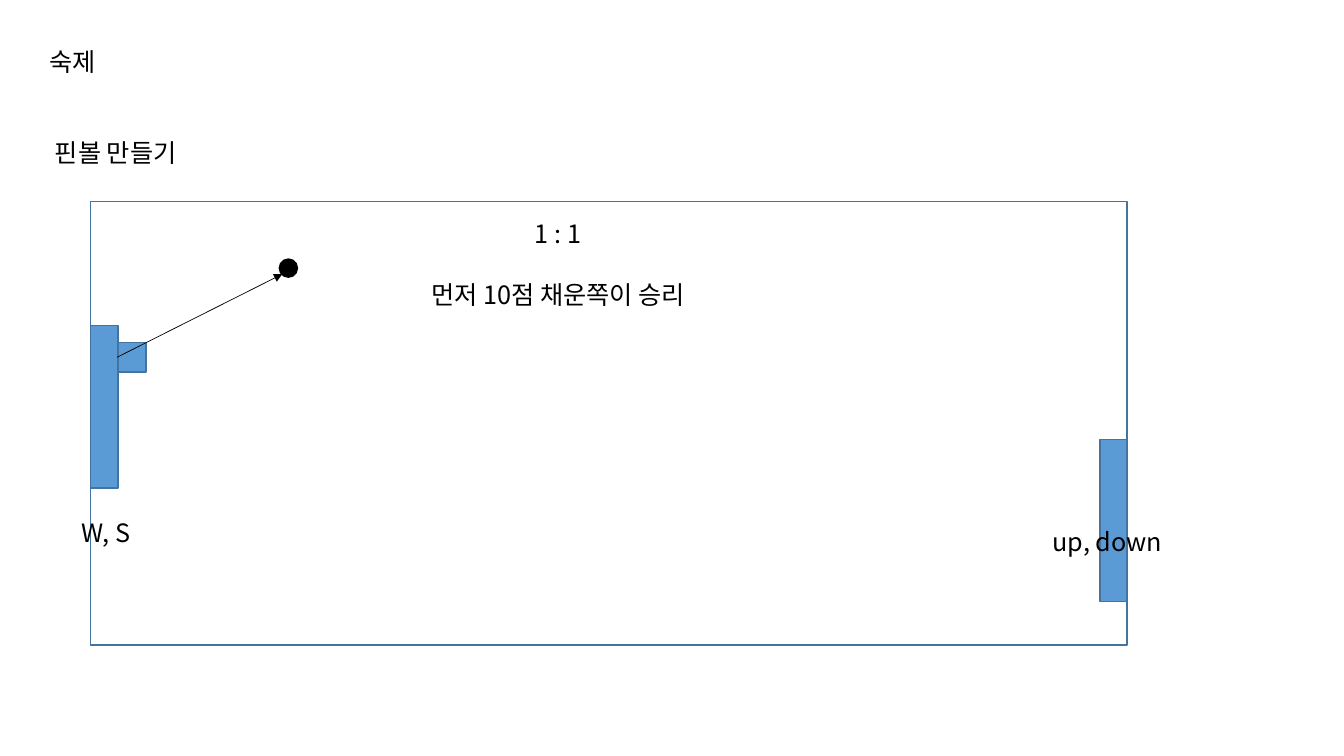
from dataclasses import dataclass

from lxml.etree import SubElement
from pptx import Presentation
from pptx.dml.color import RGBColor
from pptx.enum.shapes import MSO_CONNECTOR, MSO_SHAPE
from pptx.enum.text import MSO_AUTO_SIZE, PP_ALIGN
from pptx.oxml.ns import qn
from pptx.util import Inches, Pt


@dataclass(frozen=True)
class Theme:
    font: str = "Noto Sans CJK KR"
    text_size: float = 18
    line_height: float = 21.6
    ink: RGBColor = RGBColor(0x00, 0x00, 0x00)
    paddle: RGBColor = RGBColor(0x5B, 0x9B, 0xD5)
    outline: RGBColor = RGBColor(0x43, 0x73, 0x9E)
    outline_width: float = 1
    arrow_width: float = 0.5


THEME = Theme()
GRID_CELL = Inches(1)
COLUMNS, ROWS = 13.33, 7.5

FIELD_LEFT, FIELD_TOP, FIELD_WIDTH, FIELD_HEIGHT = 0.9, 2, 10.28, 4.4
FIELD_RIGHT = FIELD_LEFT + FIELD_WIDTH
PADDLE_WIDTH, PADDLE_HEIGHT = 0.27, 1.61
LEFT_PADDLE_TOP, RIGHT_PADDLE_TOP = 3.23, 4.36
LAUNCHER_LEFT, LAUNCHER_TOP, LAUNCHER_SIZE = 1.16, 3.4, 0.29
BALL_LEFT, BALL_TOP, BALL_SIZE = 2.77, 2.57, 0.18


def grid(*cells):
    return [round(cell * GRID_CELL) for cell in cells]


def add_figure(slide, preset, place, fill, outline):
    shape = slide.shapes.add_shape(preset, *grid(*place))
    shape.shadow.inherit = False
    if fill is None:
        shape.fill.background()
    else:
        shape.fill.solid()
        shape.fill.fore_color.rgb = fill
    shape.line.color.rgb = outline
    shape.line.width = Pt(THEME.outline_width)


def add_paddle(slide, left, top):
    place = (left, top, PADDLE_WIDTH, PADDLE_HEIGHT)
    add_figure(slide, MSO_SHAPE.RECTANGLE, place, THEME.paddle, THEME.outline)


def add_label(slide, place, lines, gap_lines=0, alignment=PP_ALIGN.LEFT):
    frame = slide.shapes.add_textbox(*grid(*place)).text_frame
    frame.word_wrap = False
    frame.auto_size = MSO_AUTO_SIZE.SHAPE_TO_FIT_TEXT
    for index, line in enumerate(lines):
        paragraph = frame.add_paragraph() if index else frame.paragraphs[0]
        paragraph.alignment = alignment
        paragraph.line_spacing = Pt(THEME.line_height)
        if index:
            paragraph.space_before = Pt(gap_lines * THEME.line_height)
        run = paragraph.add_run()
        run.text = line
        run.font.name = THEME.font
        run.font.size = Pt(THEME.text_size)
        run.font.color.rgb = THEME.ink
        SubElement(run.font._element, qn("a:ea"), typeface=THEME.font)


def add_arrow(slide, start, end):
    connector = slide.shapes.add_connector(
        MSO_CONNECTOR.STRAIGHT, *grid(*start, *end)
    )
    connector.line.color.rgb = THEME.ink
    connector.line.width = Pt(THEME.arrow_width)
    SubElement(connector.line._get_or_add_ln(), qn("a:tailEnd"), type="triangle")
    SubElement(connector._element.spPr, qn("a:effectLst"))


def main():
    presentation = Presentation()
    presentation.slide_width, presentation.slide_height = grid(COLUMNS, ROWS)
    slide = presentation.slides.add_slide(presentation.slide_layouts[6])

    add_label(slide, (0.39, 0.41, 1.56, 1.31), ["숙제", " 핀볼 만들기"], gap_lines=2)

    field = (FIELD_LEFT, FIELD_TOP, FIELD_WIDTH, FIELD_HEIGHT)
    add_figure(slide, MSO_SHAPE.RECTANGLE, field, None, THEME.outline)
    add_paddle(slide, FIELD_RIGHT - PADDLE_WIDTH, RIGHT_PADDLE_TOP)
    launcher = (LAUNCHER_LEFT, LAUNCHER_TOP, LAUNCHER_SIZE, LAUNCHER_SIZE)
    add_figure(slide, MSO_SHAPE.RECTANGLE, launcher, THEME.paddle, THEME.outline)
    add_paddle(slide, FIELD_LEFT, LEFT_PADDLE_TOP)

    add_label(slide, (0.71, 5.08, 0.75, 0.4), ["W, S"])
    add_label(slide, (10.34, 5.17, 1.31, 0.4), ["up, down"])
    add_label(
        slide,
        (4.08, 2.12, 2.91, 1.01),
        ["1 : 1", "먼저 10점 채운쪽이 승리"],
        gap_lines=1,
        alignment=PP_ALIGN.CENTER,
    )

    ball = (BALL_LEFT, BALL_TOP, BALL_SIZE, BALL_SIZE)
    add_figure(slide, MSO_SHAPE.OVAL, ball, THEME.ink, THEME.ink)
    launch_point = (LAUNCHER_LEFT, LAUNCHER_TOP + LAUNCHER_SIZE / 2)
    add_arrow(slide, launch_point, (2.8, 2.72))

    presentation.save("out.pptx")


if __name__ == "__main__":
    main()
